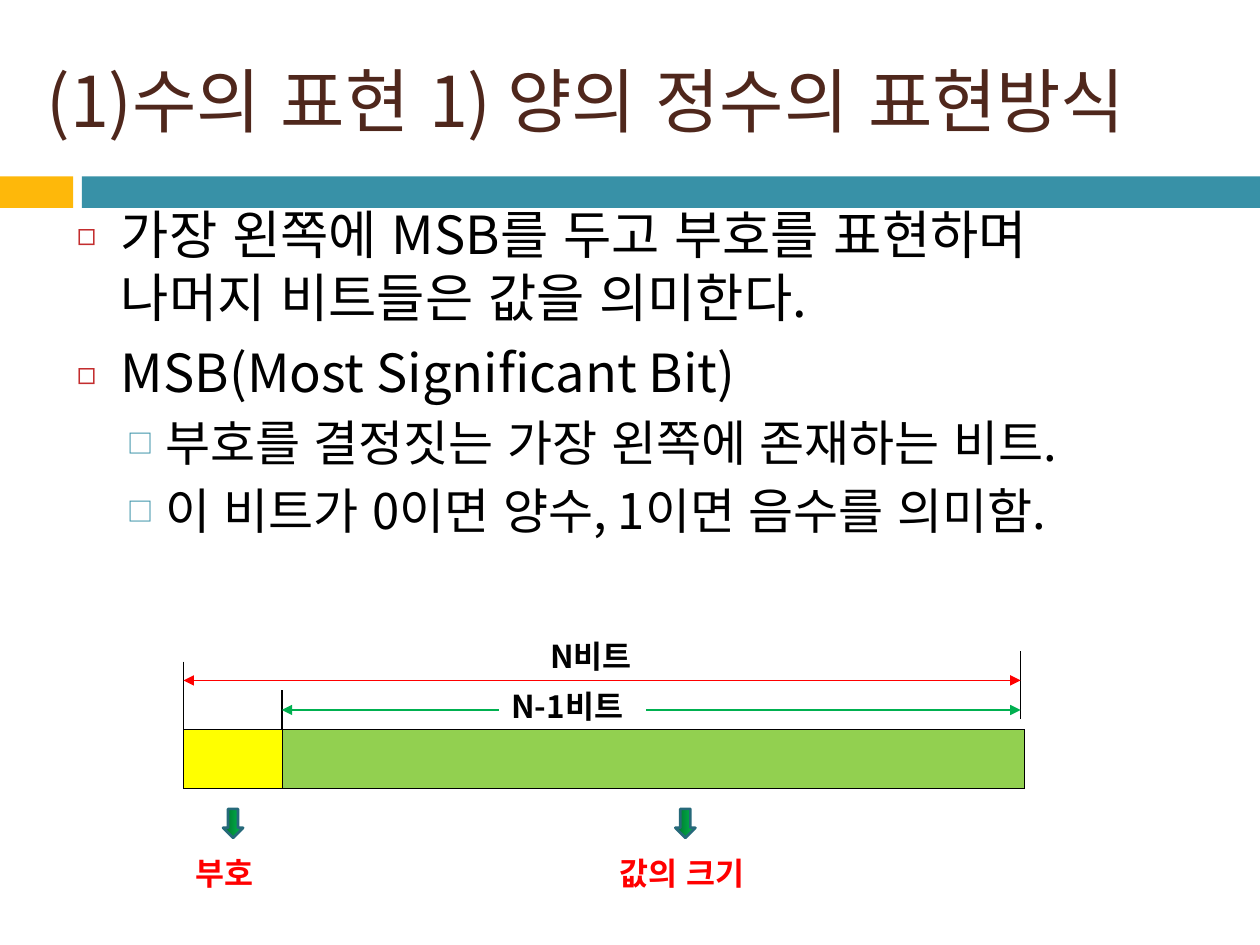
from lxml.etree import SubElement
from pptx import Presentation
from pptx.dml.color import RGBColor
from pptx.enum.lang import MSO_LANGUAGE_ID
from pptx.enum.shapes import MSO_CONNECTOR, MSO_SHAPE
from pptx.enum.text import MSO_ANCHOR, MSO_AUTO_SIZE, PP_ALIGN
from pptx.oxml.ns import qn
from pptx.util import Inches, Pt

FONT = "Noto Sans CJK KR"
COLS, ROWS = 100, 75
BLACK, RED, GREEN, TEAL = "000000", "FF0000", "00B050", "3891A7"


def paint(code):
    return RGBColor.from_string(code)


def node(parent, tag, **attrs):
    return SubElement(parent, qn(tag), attrs)


def write(para, text, size=18, color=BLACK, bold=False):
    run = para.add_run()
    run.text = text
    font = run.font
    font.size, font.bold, font.name = Pt(size), bold, FONT
    font.language_id = MSO_LANGUAGE_ID.KOREAN
    font.color.rgb = paint(color)
    node(font._element, "a:ea", typeface=FONT)


class Deck:
    """Holds the style and the current slide, measured on a 100 by 75 grid."""

    def __init__(self):
        self.file = Presentation()
        self.file.slide_width, self.file.slide_height = Inches(10), Inches(7.5)
        self.slide = self.file.slides.add_slide(self.file.slide_layouts[1])
        self.shapes = self.slide.shapes

    def grid(self, x, y):
        return (round(self.file.slide_width * x / COLS),
                round(self.file.slide_height * y / ROWS))

    def box(self, x, y, w, h):
        return self.grid(x, y) + self.grid(w, h)

    def place(self, holder, *area):
        holder.left, holder.top, holder.width, holder.height = self.box(*area)
        holder.text_frame.auto_size = MSO_AUTO_SIZE.NONE
        return holder.text_frame

    def title(self, text, *area):
        frame = self.place(self.shapes.title, *area)
        frame.vertical_anchor = MSO_ANCHOR.MIDDLE
        para = frame.paragraphs[0]
        para.alignment = PP_ALIGN.LEFT
        write(para, text, size=40, color="4F271C")

    def bullets(self, items, *area):
        styles = [(30, 7, 0.35, 0.35, "◻", "C32D2E", 60),
                  (28, 5.5, 0.7, 0.3, "□", TEAL, 53)]
        frame = self.place(self.slide.placeholders[1], *area)
        for i, (level, text) in enumerate(items):
            size, gap, left, hang, mark, color, share = styles[level]
            para = frame.add_paragraph() if i else frame.paragraphs[0]
            para.level, para.line_spacing, para.space_before = level, 1.0, Pt(gap)
            props = para._p.get_or_add_pPr()
            props.set("marL", str(Inches(left)))
            props.set("indent", str(-Inches(hang)))
            node(node(props, "a:buClr"), "a:srgbClr", val=color)
            node(props, "a:buSzPct", val=str(share * 1000))
            node(props, "a:buFont", typeface=FONT)
            node(props, "a:buChar", char=mark)
            write(para, text, size=size)

    def bar(self, color, *area):
        shape = self.shapes.add_shape(MSO_SHAPE.RECTANGLE, *self.box(*area))
        shape.shadow.inherit = False
        shape.fill.solid()
        shape.fill.fore_color.rgb = paint(color)
        shape.line.fill.background()
        self.shapes._spTree.insert(2, shape._element)

    def arrow(self, *area):
        shape = self.shapes.add_shape(MSO_SHAPE.DOWN_ARROW, *self.box(*area))
        shape.shadow.inherit = False
        shape.fill.gradient()
        shape.fill.gradient_angle = 0
        for stop, color, spot in zip(shape.fill.gradient_stops,
                                     ("006D2A", "00BD4F"), (0, 1)):
            stop.color.rgb, stop.position = paint(color), spot
        shape.line.color.rgb, shape.line.width = paint("26697A"), Pt(1.5)

    def label(self, text, *area, color=BLACK):
        frame = self.shapes.add_textbox(*self.box(*area)).text_frame
        frame.word_wrap = True
        write(frame.paragraphs[0], text, color=color, bold=True)

    def line(self, start, end, color=BLACK, heads=()):
        link = self.shapes.add_connector(
            MSO_CONNECTOR.STRAIGHT, *self.grid(*start), *self.grid(*end))
        link.line.color.rgb, link.line.width = paint(color), Pt(0.79)
        for head in heads:
            node(link.line._ln, f"a:{head}End", type="triangle")
        node(link._element.spPr, "a:effectLst")

    def table(self, widths, colors, x, y, h):
        grid = self.shapes.add_table(
            1, len(widths), *self.box(x, y, sum(widths), h)).table
        for i, (width, color) in enumerate(zip(widths, colors)):
            grid.columns[i].width = self.grid(width, 0)[0]
            cell = grid.cell(0, i)
            props = cell._tc.get_or_add_tcPr()
            for side in "LRTB":
                edge = node(props, f"a:ln{side}", w=str(Pt(0.45)))
                node(node(edge, "a:solidFill"), "a:srgbClr", val=BLACK)
            cell.fill.solid()
            cell.fill.fore_color.rgb = paint(color)


def main():
    deck = Deck()
    deck.bar("FEB80A", 0, 14, 5.8, 2.5)
    deck.bar(TEAL, 6.5, 14, 93.5, 2.5)
    deck.title("(1)수의 표현 1) 양의 정수의 표현방식", 2.7, 2.5, 97.3, 10.8)
    deck.bullets([
        (0, "가장 왼쪽에 MSB를 두고 부호를 표현하며 나머지 비트들은 값을 의미한다."),
        (0, "MSB(Most Significant Bit)"),
        (1, "부호를 결정짓는 가장 왼쪽에 존재하는 비트."),
        (1, "이 비트가 0이면 양수, 1이면 음수를 의미함."),
    ], 5.1, 15.5, 90, 30.9)

    left, top, sign, size = 14.57, 57.9, 7.8, 58.9
    split, right = left + sign, 81
    deck.table((sign, size), ("FFFF00", "92D050"), left, top, 4.7)
    for x, start, end in ((left, 52.5, top), (right, 51.7, 57.1),
                          (split, 54.8, top)):
        deck.line((x, start), (x, end))
    deck.line((left, 54), (right, 54), RED, ("head", "tail"))
    deck.line((39.6, 56.35), (split, 56.35), GREEN, ("tail",))
    deck.line((51.3, 56.35), (right, 56.35), GREEN, ("tail",))
    deck.label("N비트", 42.7, 50.1, 13.3, 4)
    deck.label("N-1비트", 39.6, 54, 13.3, 4)
    for text, tip, x, width in (("부호", 17.7, left, 8.6),
                                ("값의 크기", 53.6, 48.2, 15.6)):
        deck.arrow(tip, 64.2, 1.6, 2.3)
        deck.label(text, x, 67.3, width, 4, color=RED)
    deck.file.save("out.pptx")


if __name__ == "__main__":
    main()
